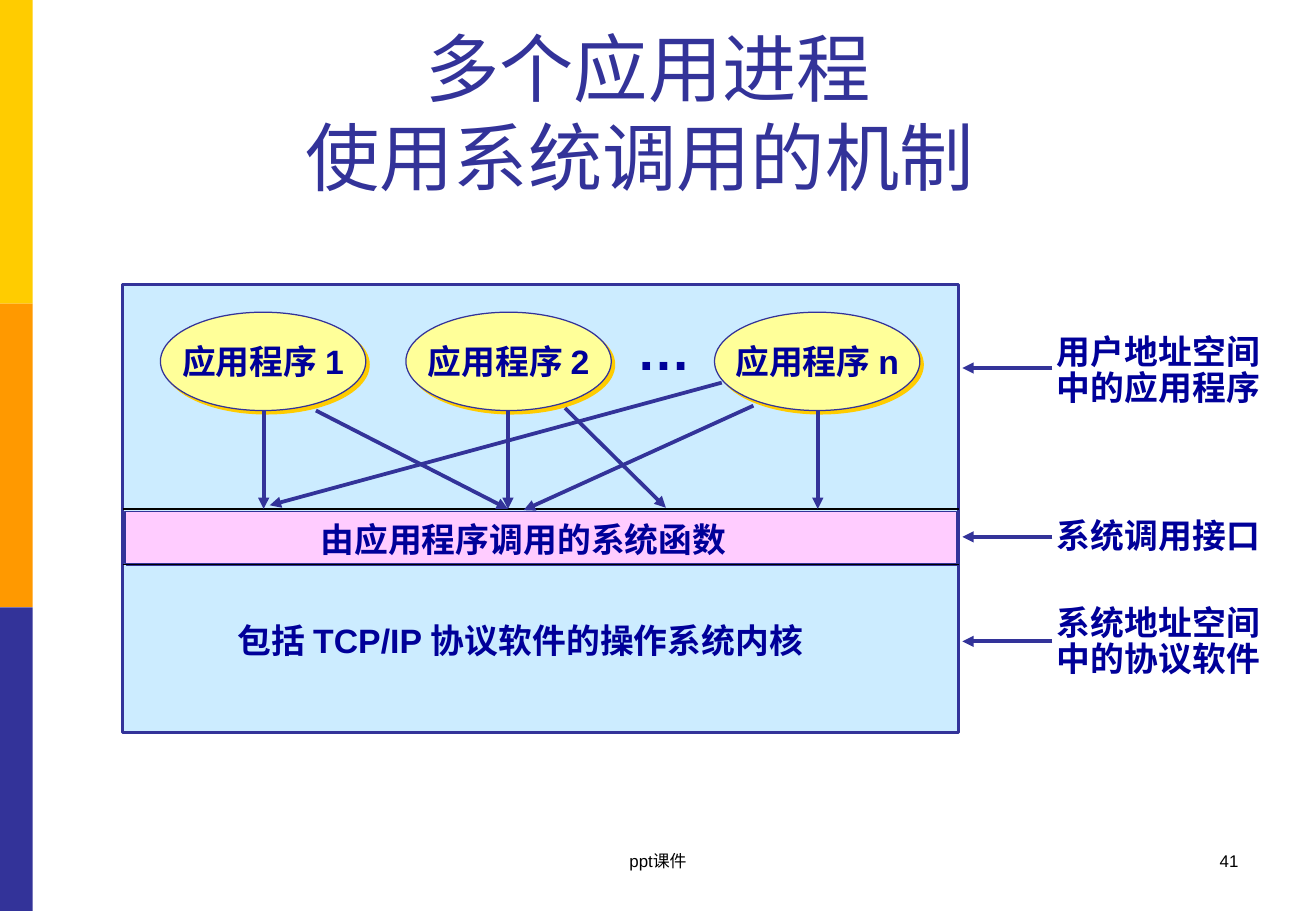
from lxml import etree
from pptx import Presentation, util as u
from pptx.dml.color import RGBColor
from pptx.enum import shapes, text
from pptx.oxml import parse_xml
from pptx.oxml.ns import qn

NAVY, INDIGO, GOLD, SKY = "000099", "333399", "FFCC00", "CCECFF"
LEFT, CENTER, RIGHT = text.PP_ALIGN.LEFT, text.PP_ALIGN.CENTER, text.PP_ALIGN.RIGHT
RECT, OVAL = shapes.MSO_SHAPE.RECTANGLE, shapes.MSO_SHAPE.OVAL
SHADOW = ('<a:effectLst xmlns:a="http://schemas.openxmlformats.org/drawingml/2006/main">'
          '<a:outerShdw dist="%d" dir="2700000" algn="ctr" rotWithShape="0">'
          '<a:srgbClr val="%s"/></a:outerShdw></a:effectLst>')


def rgb(code):
    return RGBColor.from_string(code)


def write(tf, content, size, color=NAVY, bold=True, align=LEFT, spacing=None):
    tf.text = content
    for p in tf.paragraphs:
        p.alignment = align
        if spacing:
            p.line_spacing = spacing
        for r in p.runs:
            r.font.name, r.font.size, r.font.bold = "Arial", u.Pt(size), bold
            r.font.color.rgb = rgb(color)


prs = Presentation()
prs.slide_width, prs.slide_height = u.Inches(10.83), u.Inches(7.5)
s = prs.slides.add_slide(prs.slide_layouts[5])

# Title
title = s.shapes.title
title.left, title.top, title.width, title.height = map(u.Inches, (0.38, 0.58, 9.91, 1.12))
tf = title.text_frame
tf.auto_size = text.MSO_AUTO_SIZE.NONE
tf.vertical_anchor = text.MSO_ANCHOR.BOTTOM
write(tf, "多个应用进程\v使用系统调用的机制 ", 44, INDIGO, False, CENTER)

# Side stripe, address spaces and applications: kind, box, fill, line width, shadow, label
blocks = [(RECT, (0, 2.5 * i, 0.27, 2.5), fill, 0, None, "")
          for i, fill in enumerate((GOLD, "FF9900", INDIGO))]
blocks += [(RECT, (1.01, 2.34, 6.88, 3.69), SKY, 1.5, None, ""),
           (RECT, (1.03, 4.21, 6.84, 0.43), "FFCCFF", 0.75, (1.5, INDIGO), "")]
blocks += [(OVAL, (x, 2.57, 1.69, 0.81), "FFFF99", 0.75, (2.8, GOLD), "应用程序 " + name)
           for x, name in ((1.32, "1"), (3.34, "2"), (5.88, "n"))]
for kind, box, fill, width, shadow, label in blocks:
    sp = s.shapes.add_shape(kind, *map(u.Inches, box))
    sp.shadow.inherit = False
    sp.fill.solid()
    sp.fill.fore_color.rgb = rgb(fill)
    if width:
        sp.line.color.rgb = rgb(INDIGO)
        sp.line.width = u.Pt(width)
    else:
        sp.line.fill.background()
    if shadow:
        effects = sp._element.spPr.find(qn("a:effectLst"))
        effects.getparent().replace(effects, parse_xml(SHADOW % (u.Pt(shadow[0]), shadow[1])))
    if label:
        sp.text_frame.word_wrap = False
        sp.text_frame.vertical_anchor = text.MSO_ANCHOR.MIDDLE
        write(sp.text_frame, label, 20, align=CENTER)

# Borders of the call interface, then arrows for calls and side labels
borders = [(1.01, y, 7.89, y) for y in (4.19, 4.65)]
calls = [(x, 3.38, x, 4.19) for x in (2.17, 4.18, 6.73)]
calls += [(2.6, 3.38, 4.18, 4.19), (6.2, 3.34, 4.31, 4.2),
          (5.94, 3.15, 2.22, 4.16), (4.65, 3.36, 5.48, 4.18)]
pointers = [(8.66, y, 7.92, y) for y in (3.03, 4.42, 5.28)]
for ends in borders + calls + pointers:
    line = s.shapes.add_connector(shapes.MSO_CONNECTOR.STRAIGHT, *map(u.Inches, ends))
    is_border = ends in borders
    line.line.color.rgb = rgb("000000" if is_border else INDIGO)
    line.line.width = u.Pt(0.75 if is_border else 2.25)
    if not is_border:
        etree.SubElement(line.line._get_or_add_ln(), qn("a:tailEnd"), type="triangle")
    etree.SubElement(line._element.spPr, qn("a:effectLst"))

# Labels: box, content, size, wrap, line spacing
for box, content, size, wrap, spacing in (
        ((5.14, 2.56, 0.65, 0.64), "…", 32, False, None),
        ((2.54, 4.22, 3.57, 0.44), "由应用程序调用的系统函数", 20, False, None),
        ((1.86, 5.05, 4.9, 0.44), "包括 TCP/IP 协议软件的操作系统内核", 20, True, None),
        ((8.6, 2.71, 1.88, 0.71), "用户地址空间\n中的应用程序", 20, False, 0.9),
        ((8.6, 4.19, 1.88, 0.44), "系统调用接口", 20, False, None),
        ((8.6, 4.94, 1.88, 0.71), "系统地址空间\n中的协议软件", 20, False, 0.9)):
    tf = s.shapes.add_textbox(*map(u.Inches, box)).text_frame
    tf.word_wrap = wrap
    write(tf, content, size, spacing=spacing)

# Footer and page number
for box, content, align in (((3.7, 6.95, 3.43, 0.5), "ppt课件", CENTER),
                            ((7.76, 6.95, 2.53, 0.5), "41", RIGHT)):
    tf = s.shapes.add_textbox(*map(u.Inches, box)).text_frame
    tf.word_wrap = True
    write(tf, content, 10, "000000", False, align)

prs.save("out.pptx")
